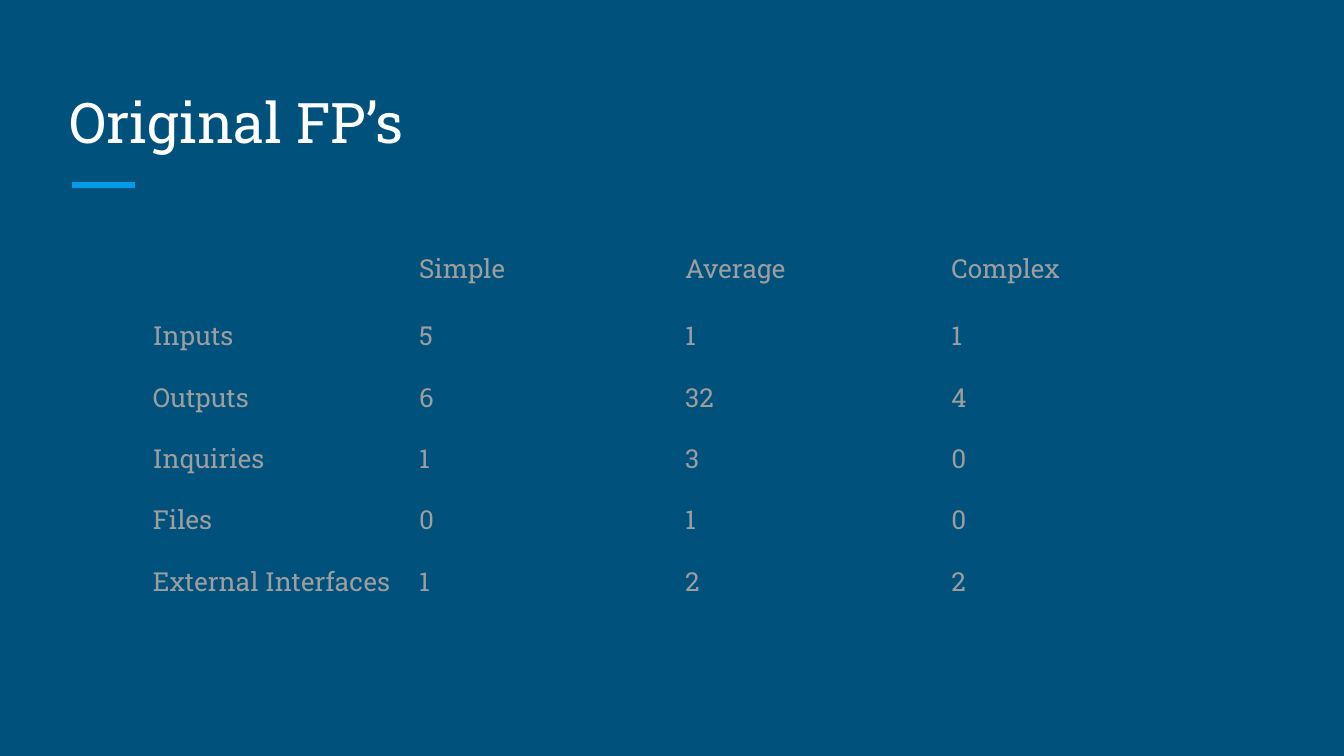
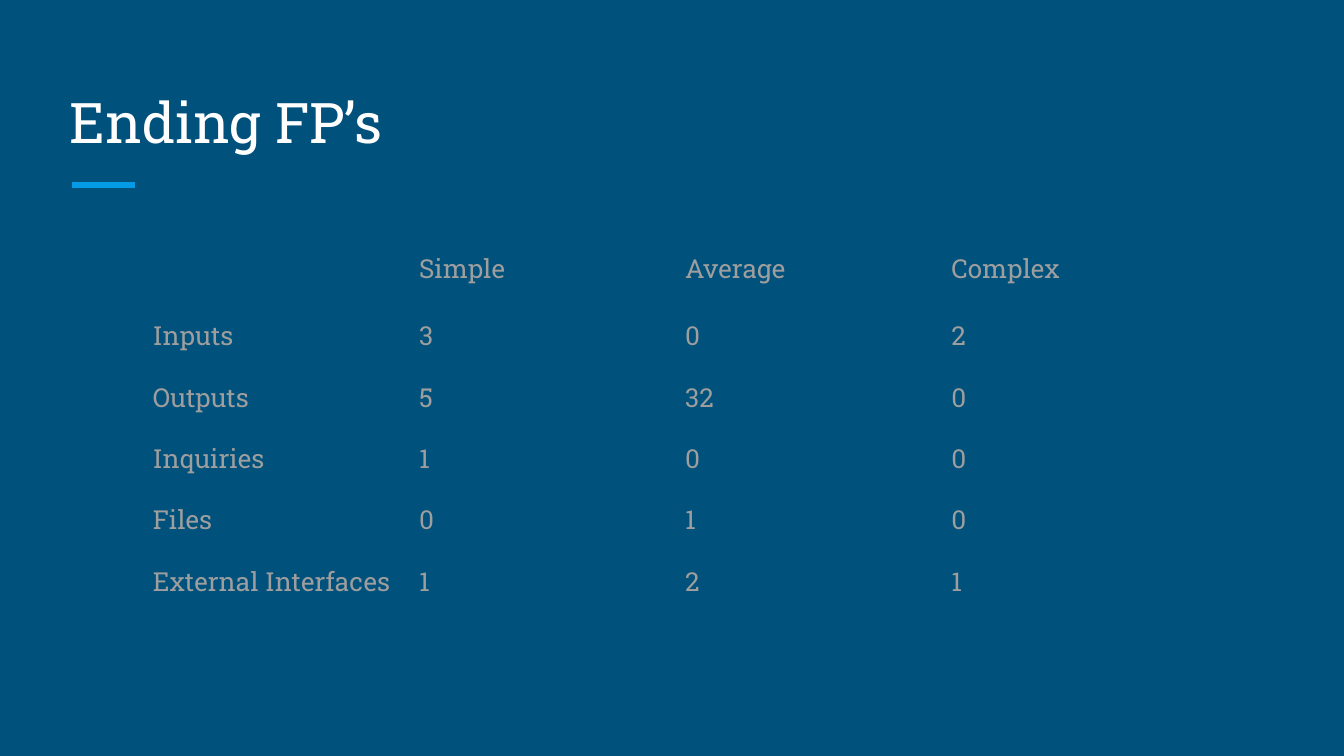
import pptx
import pptx.util
import pptx.dml.color
import pptx.enum.shapes
import pptx.enum.text
from lxml import etree
from pptx.oxml.ns import qn
from pptx.util import Cm, Pt

HEADS = ["", "Simple", "Average", "Complex"]
KINDS = ["Inputs", "Outputs", "Inquiries", "Files", "External Interfaces"]
SLIDES = [
    ("Original FP’s", [(5, 1, 1), (6, 32, 4), (1, 3, 0), (0, 1, 0), (1, 2, 2)]),
    ("Ending FP’s", [(3, 0, 2), (5, 32, 0), (1, 0, 0), (0, 1, 0), (1, 2, 1)]),
]

COLORS = {"back": "00517C", "accent": "039BE5", "title": "FFFFFF", "cell": "9E9E9E"}
FONT = "Roboto Slab"
PAD = Cm(0.25)
COL, HEAD, ROW = Cm(5.03), Cm(1.23), Cm(1.16)
INSETS = {f"margin_{side}": PAD for side in ("left", "right", "top", "bottom")}
FRAME = {**INSETS, "word_wrap": True,
         "vertical_anchor": pptx.enum.text.MSO_ANCHOR.BOTTOM}
PLAIN = {"first_row": False, "horz_banding": False}


def color(name):
    return pptx.dml.color.RGBColor.from_string(COLORS[name])


def apply(item, values):
    for name, value in values.items():
        setattr(item, name, value)


def write(para, text, size, tint):
    run = para.add_run()
    run.text = text
    apply(run.font, {"name": FONT, "size": Pt(size)})
    run.font.color.rgb = color(tint)


def add_base(deck, title):
    """Add a slide with the shared background, title and accent line."""
    slide = deck.slides.add_slide(deck.slide_layouts[6])
    fill = slide.background.fill
    fill.solid()
    fill.fore_color.rgb = color("back")

    line = slide.shapes.add_connector(
        pptx.enum.shapes.MSO_CONNECTOR.STRAIGHT,
        Cm(1.36), Cm(3.5), Cm(2.55), Cm(3.5))
    line.line.color.rgb = color("accent")
    line.line.width = Pt(3)
    etree.SubElement(line.element.spPr, qn("a:effectLst"))

    box = slide.shapes.add_textbox(Cm(1.07), Cm(1.27), Cm(23.24), Cm(1.91))
    apply(box.text_frame, FRAME)
    write(box.text_frame.paragraphs[0], title, 30, "title")
    return slide


def clear(cell):
    """Remove the borders and fill that the table style gives a cell."""
    props = cell._tc.get_or_add_tcPr()
    for side in "LRTB":
        edge = etree.SubElement(props, qn(f"a:ln{side}"))
        etree.SubElement(edge, qn("a:noFill"))
    cell.fill.background()


def add_counts(slide, counts):
    rows = [HEADS] + [[kind, *nums] for kind, nums in zip(KINDS, counts)]
    table = slide.shapes.add_table(
        len(rows), len(HEADS), Cm(2.64), Cm(4.5),
        COL * len(HEADS), HEAD + ROW * len(KINDS)).table
    apply(table, PLAIN)
    for col in table.columns:
        col.width = COL
    for r, row in enumerate(rows):
        table.rows[r].height = ROW if r else HEAD
        for c, value in enumerate(row):
            cell = table.cell(r, c)
            apply(cell, INSETS)
            clear(cell)
            if value != "":
                write(cell.text_frame.paragraphs[0], str(value), 14, "cell")


def main():
    deck = pptx.Presentation()
    apply(deck, {"slide_width": Cm(25.4), "slide_height": Cm(14.29)})
    for title, counts in SLIDES:
        add_counts(add_base(deck, title), counts)
    deck.save("out.pptx")


if __name__ == "__main__":
    main()
